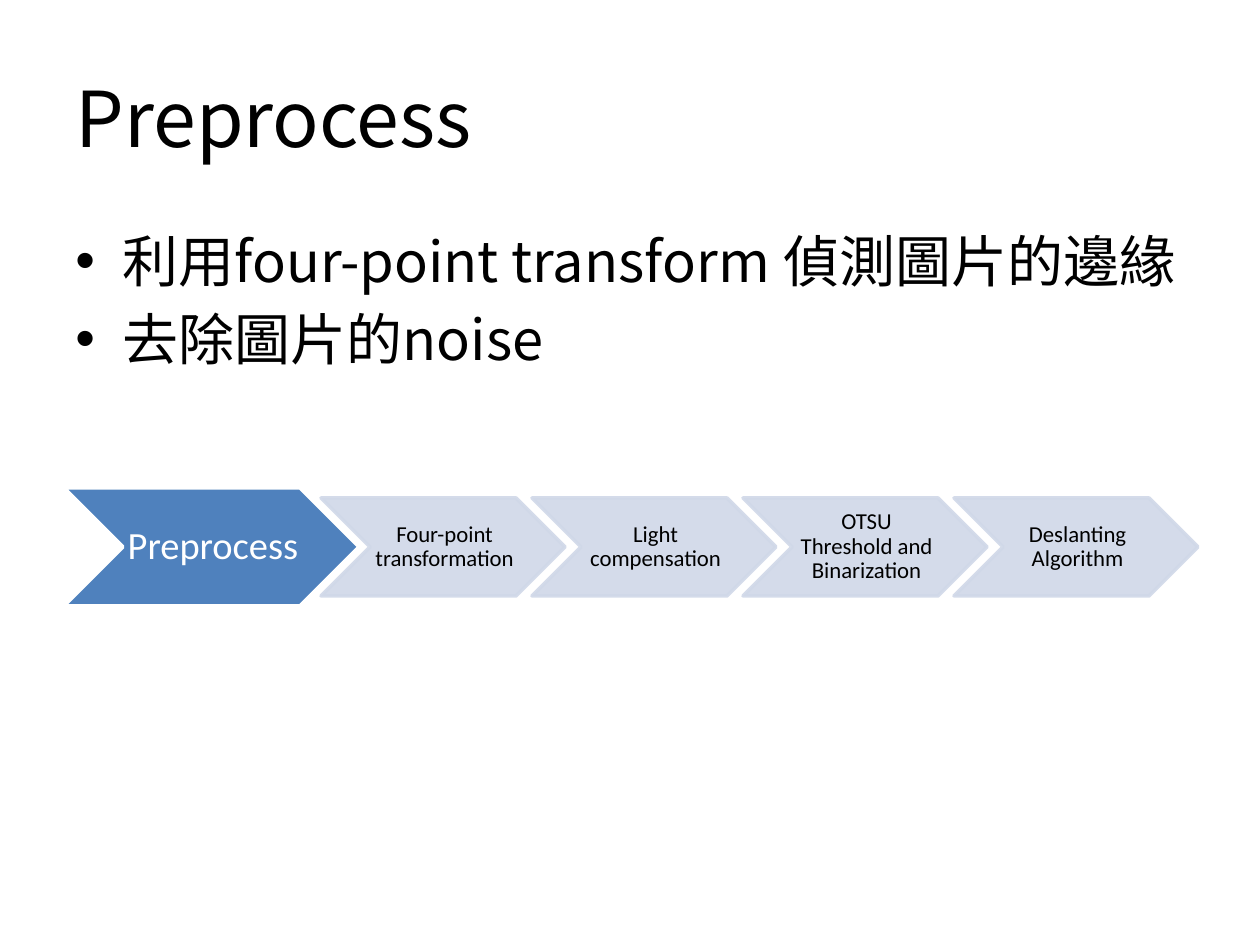
from dataclasses import dataclass

import lxml.etree
import pptx
import pptx.dml.color
import pptx.enum.shapes
import pptx.enum.text
import pptx.oxml.ns
import pptx.util

PX_PER_INCH = 126
BODY_FONT = "Noto Sans CJK SC"
STEP_FONT = "Calibri"
BLACK, WHITE, BLUE, PALE_BLUE = "000000", "FFFFFF", "4F81BD", "D0D8E8"


@dataclass
class Box:
    left: int
    top: int
    width: int
    height: int


@dataclass
class StepStyle:
    fill: str
    line: str
    text: str
    size: int
    opacity: int  # percent


ACTIVE = StepStyle(BLUE, WHITE, WHITE, 22, 100)
PENDING = StepStyle(PALE_BLUE, PALE_BLUE, BLACK, 13, 90)


def px(length: int) -> int:
    return round(length * 914400 / PX_PER_INCH)


def color(value: str) -> pptx.dml.color.RGBColor:
    return pptx.dml.color.RGBColor.from_string(value)


def add_child(parent, tag: str, **attributes: str):
    child = lxml.etree.SubElement(parent, pptx.oxml.ns.qn(tag))
    for name, value in attributes.items():
        child.set(name, value)
    return child


def place(shape, box: Box) -> None:
    shape.left, shape.top = px(box.left), px(box.top)
    shape.width, shape.height = px(box.width), px(box.height)


def add_run(para, text: str, size: int, font: str, text_color: str) -> None:
    span = para.add_run()
    span.text = text
    span.font.size = pptx.util.Pt(size)
    span.font.name = font
    span.font.color.rgb = color(text_color)
    add_child(span.font._element, "a:ea", typeface=font)


def add_title(page, text: str, box: Box) -> None:
    title = page.shapes.title
    place(title, box)
    title.text_frame.vertical_anchor = pptx.enum.text.MSO_ANCHOR.MIDDLE
    para = title.text_frame.paragraphs[0]
    para.alignment = pptx.enum.text.PP_ALIGN.LEFT
    add_run(para, text, 44, BODY_FONT, BLACK)


def add_bullets(page, items: list[str], box: Box, indent: int) -> None:
    body = page.shapes.add_textbox(0, 0, 0, 0)
    place(body, box)
    frame = body.text_frame
    frame.word_wrap = True
    for index, item in enumerate(items):
        para = frame.add_paragraph() if index else frame.paragraphs[0]
        para.space_before = pptx.util.Pt(6.4)
        properties = para._p.get_or_add_pPr()
        properties.set("marL", str(px(indent)))
        properties.set("indent", str(-px(indent)))
        add_child(properties, "a:buFont", typeface="Arial")
        add_child(properties, "a:buChar", char="•")
        add_run(para, item, 32, BODY_FONT, BLACK)


def add_step(page, text: str, box: Box, style: StepStyle) -> None:
    chevron = page.shapes.add_shape(
        pptx.enum.shapes.MSO_SHAPE.CHEVRON, 0, 0, 0, 0)
    place(chevron, box)
    chevron.shadow.inherit = False
    chevron.fill.solid()
    chevron.fill.fore_color.rgb = color(style.fill)
    chevron.line.color.rgb = color(style.line)
    chevron.line.width = pptx.util.Pt(2)
    if style.opacity < 100:
        for shade in chevron._element.spPr.iter(pptx.oxml.ns.qn("a:srgbClr")):
            add_child(shade, "a:alpha", val=str(style.opacity * 1000))

    frame = chevron.text_frame
    frame.word_wrap = True
    frame.vertical_anchor = pptx.enum.text.MSO_ANCHOR.MIDDLE
    frame.margin_left, frame.margin_right = px(3), 0
    frame.margin_top = frame.margin_bottom = px(2)
    para = frame.paragraphs[0]
    para.alignment = pptx.enum.text.PP_ALIGN.CENTER
    para.line_spacing = 0.9
    add_run(para, text, style.size, STEP_FONT, style.text)


def main() -> None:
    deck = pptx.Presentation()
    deck.slide_width, deck.slide_height = px(1260), px(945)
    page = deck.slides.add_slide(deck.slide_layouts.get_by_name("Title Only"))

    # Title and bullet list
    add_title(page, "Preprocess", Box(63, 38, 1134, 158))
    add_bullets(page, ["利用four-point transform 偵測圖片的邊緣", "去除圖片的noise"],
                Box(63, 220, 1134, 624), indent=47)

    # Process chain: the current stage, then its equally spaced steps
    add_step(page, "Preprocess", Box(64, 488, 295, 118), ACTIVE)
    steps = ["Four-point transformation", "Light compensation",
             "OTSU Threshold and Binarization", "Deslanting Algorithm"]
    for index, step in enumerate(steps):
        add_step(page, step, Box(321 + 211 * index, 498, 244, 98), PENDING)

    deck.save("out.pptx")


if __name__ == "__main__":
    main()
